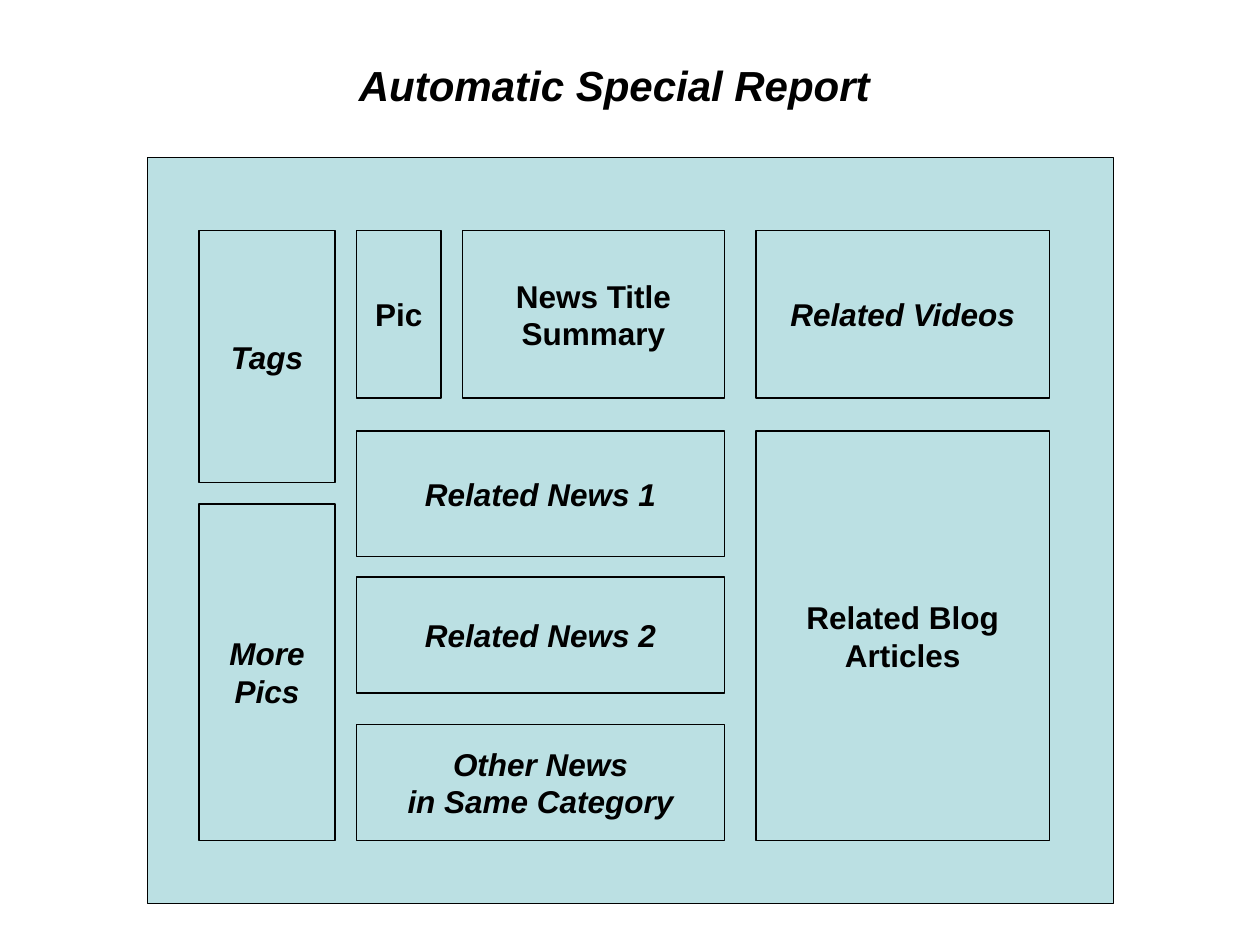
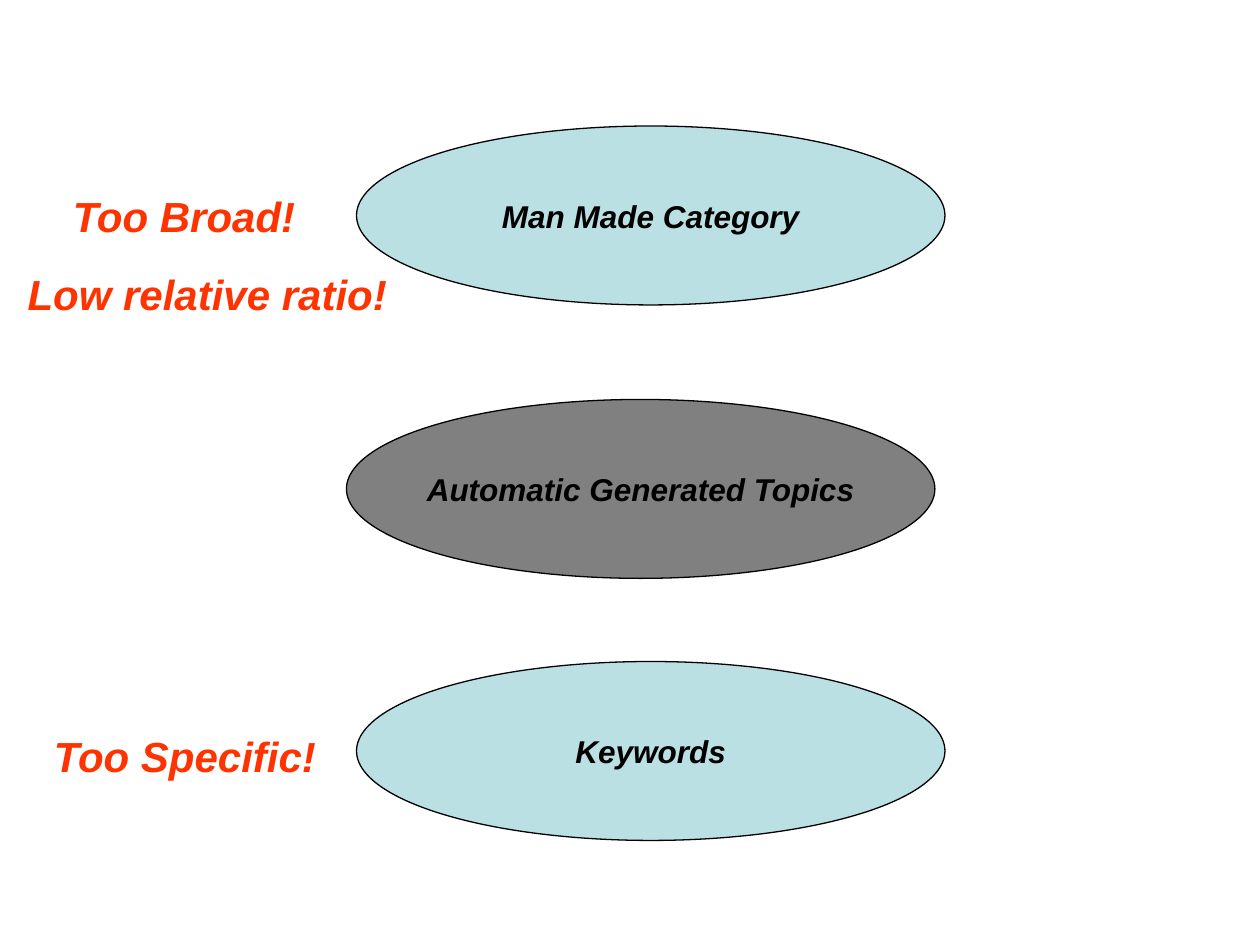
import pptx
import pptx.util
import pptx.dml.color
import pptx.enum.shapes
import pptx.enum.text

Inches = pptx.util.Inches
Pt = pptx.util.Pt
RGBColor = pptx.dml.color.RGBColor
Kind = pptx.enum.shapes.MSO_SHAPE
Align = pptx.enum.text.PP_ALIGN
Anchor = pptx.enum.text.MSO_ANCHOR
Fit = pptx.enum.text.MSO_AUTO_SIZE

BLACK = RGBColor(0x00, 0x00, 0x00)
AQUA = RGBColor(0xBB, 0xE0, 0xE3)
GRAY = RGBColor(0x80, 0x80, 0x80)
RED = RGBColor(0xFF, 0x33, 0x00)

FONT = {"name": "Arial", "bold": True}
LABEL = {**FONT, "size": Pt(18)}
HEAD = {**FONT, "size": Pt(24), "italic": True}
FRAME = {
    "word_wrap": False,
    "margin_left": Inches(0.1),
    "margin_right": Inches(0.1),
    "margin_top": Inches(0.05),
    "margin_bottom": Inches(0.05),
}
MIDDLE = {**FRAME, "vertical_anchor": Anchor.MIDDLE}
GROW = {**FRAME, "vertical_anchor": Anchor.TOP, "auto_size": Fit.SHAPE_TO_FIT_TEXT}

LEFT, MID, RIGHT = 1.58, 2.83, 6
SIDE, WIDE, LAST = 1.08, 2.92, 2.33
TOP, NEXT, END = 1.83, 3.42, 6.67
TALL = 1.33
OVAL = (4.67, 1.42)


def apply(item, values):
    for key, value in values.items():
        setattr(item, key, value)


def write(shape, text, frame, font, color, align):
    body = shape.text_frame
    apply(body, frame)
    for at, line in enumerate(text.split("\n")):
        para = body.add_paragraph() if at else body.paragraphs[0]
        para.alignment = align
        run = para.add_run()
        run.text = line
        apply(run.font, font)
        run.font.color.rgb = color


def add_node(slide, kind, box, text="", fill=AQUA, italic=True):
    shape = slide.shapes.add_shape(kind, *map(Inches, box))
    shape.shadow.inherit = False
    shape.fill.solid()
    shape.fill.fore_color.rgb = fill
    shape.line.color.rgb = BLACK
    shape.line.width = Pt(0.75)
    if text:
        write(shape, text, MIDDLE, {**LABEL, "italic": italic}, BLACK, Align.CENTER)


def add_head(slide, left, top, width, text, color):
    box = slide.shapes.add_textbox(*map(Inches, (left, top, width, 0.5)))
    write(box, text, GROW, HEAD, color, Align.LEFT)


def draw_report(slide):
    add_node(slide, Kind.RECTANGLE, (1.17, 1.25, 7.67, 5.92))
    add_head(slide, 2.75, 0.42, 4.3, "Automatic Special Report", BLACK)
    panels = [
        (LEFT, TOP, SIDE, 2, "Tags", True),
        (LEFT, 4, SIDE, END - 4, "More\nPics", True),
        (MID, TOP, 0.67, TALL, "Pic", False),
        (3.67, TOP, 2.08, TALL, "News Title\nSummary", False),
        (MID, NEXT, WIDE, 1, "Related News 1", True),
        (MID, 4.58, WIDE, 0.92, "Related News 2", True),
        (MID, 5.75, WIDE, END - 5.75, "Other News\nin Same Category", True),
        (RIGHT, TOP, LAST, TALL, "Related Videos", True),
        (RIGHT, NEXT, LAST, END - NEXT, "Related Blog\nArticles", False),
    ]
    for *box, text, italic in panels:
        add_node(slide, Kind.RECTANGLE, box, text, italic=italic)


def draw_topics(slide):
    ovals = [
        (2.83, 1, "Man Made Category", AQUA),
        (2.75, 3.17, "Automatic Generated Topics", GRAY),
        (2.83, 5.25, "Keywords", AQUA),
    ]
    for left, top, text, fill in ovals:
        add_node(slide, Kind.OVAL, (left, top, *OVAL), text, fill)
    flaws = [
        (0.48, 1.46, 1.98, "Too Broad!"),
        (0.12, 2.08, 3.05, "Low relative ratio!"),
        (0.33, 5.75, 2.29, "Too Specific!"),
    ]
    for flaw in flaws:
        add_head(slide, *flaw, RED)


def main():
    deck = pptx.Presentation()
    apply(deck, {"slide_width": Inches(10), "slide_height": Inches(7.5)})
    for draw in (draw_report, draw_topics):
        draw(deck.slides.add_slide(deck.slide_layouts[6]))
    deck.save("out.pptx")


if __name__ == "__main__":
    main()
